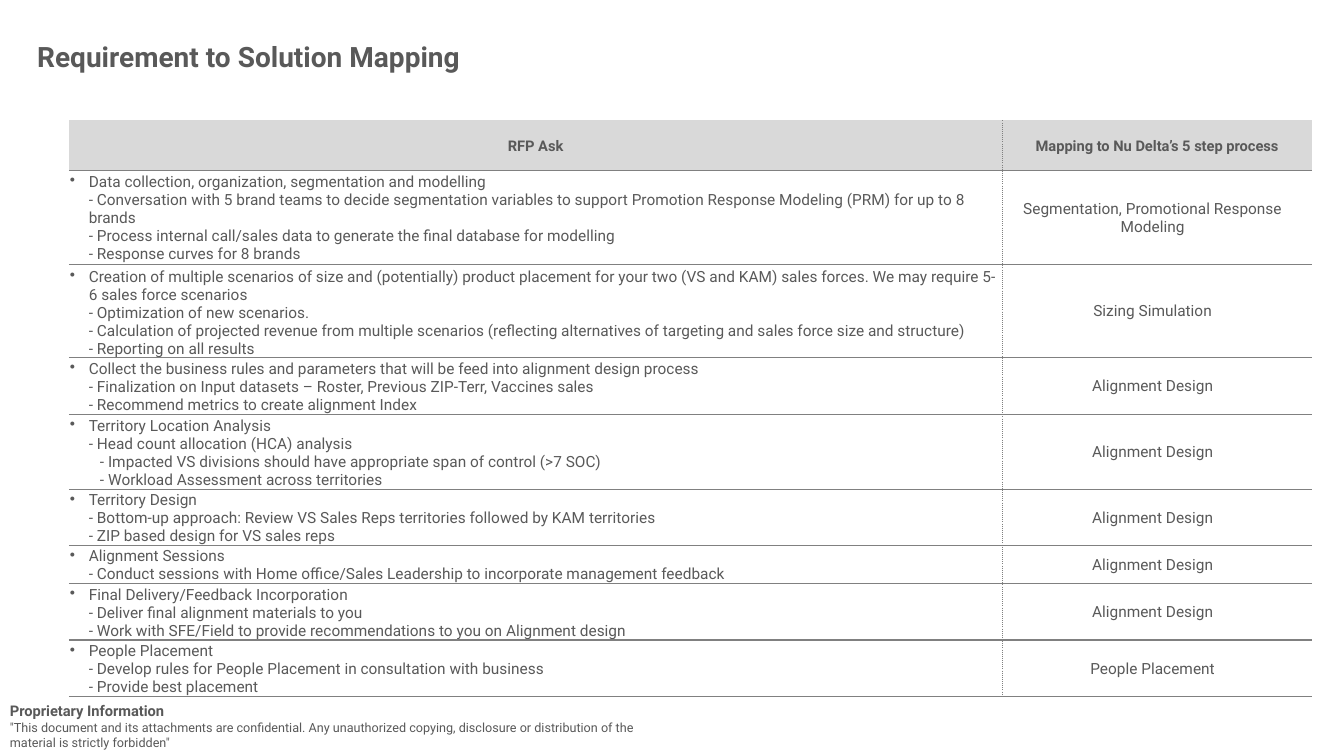
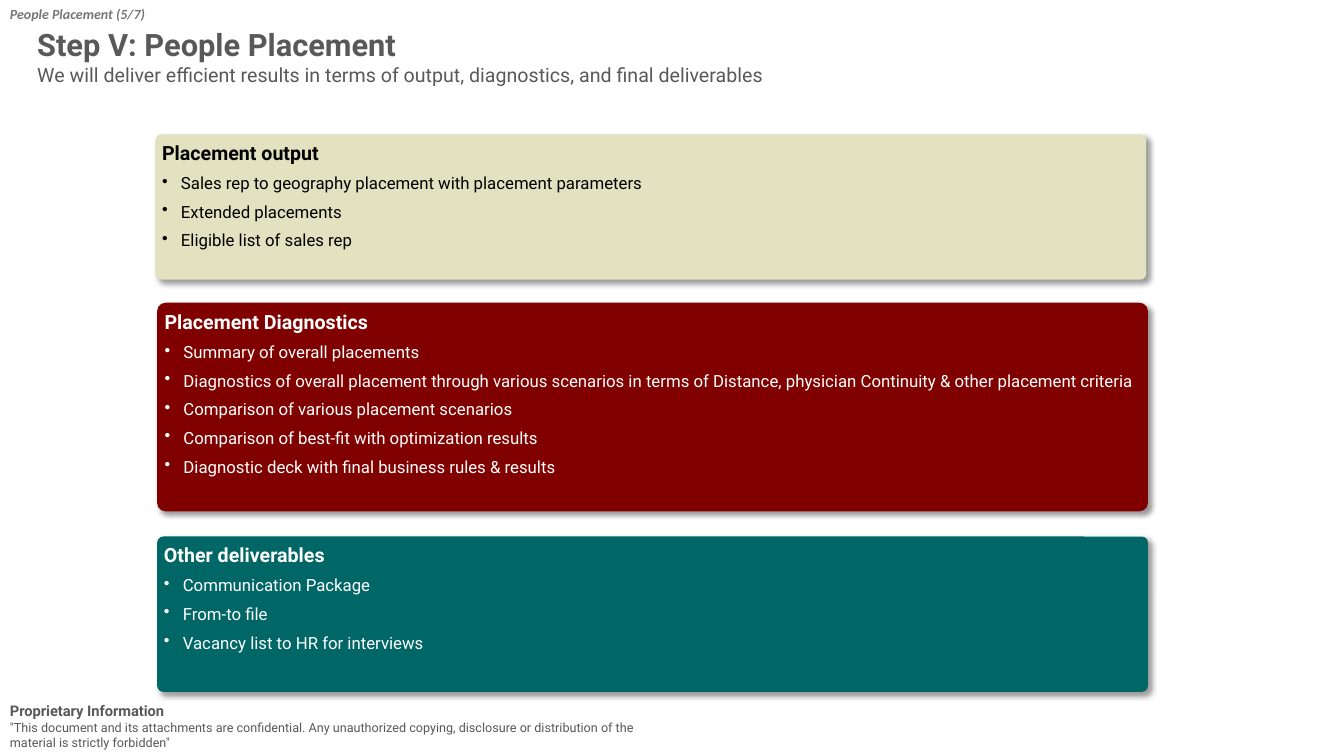
"""Build a two-slide deck: requirement mapping table and people placement deliverables."""
from lxml import etree
from pptx import Presentation
from pptx.dml.color import RGBColor
from pptx.enum import shapes, text
from pptx.oxml import ns
from pptx.util import Pt

C = {"grey": "595959", "crumb": "777777", "rule": "808080", "head": "D9D9D9",
     "white": "FFFFFF", "black": "000000", "sand": "E2E1C0", "maroon": "800000", "teal": "006666"}
INDENT = 13.5
LINE = 13.35
TOP, MIDDLE, BOTTOM = (text.MSO_ANCHOR.TOP, text.MSO_ANCHOR.MIDDLE, text.MSO_ANCHOR.BOTTOM)
LEFT, CENTER = text.PP_ALIGN.LEFT, text.PP_ALIGN.CENTER


def write(tf, paras, color="grey", align=LEFT, space=0):
    """Write (text, font values, left margin, bulleted) paragraphs into a text frame."""
    tf.word_wrap = True
    for i, (words, fmt, margin, bulleted) in enumerate(paras):
        p = tf.paragraphs[0] if i == 0 else tf.add_paragraph()
        p.alignment = align
        p.space_before = Pt(space if i else 0)
        pPr = p._p.get_or_add_pPr()
        pPr.set("marL", str(Pt(margin)))
        pPr.set("indent", str(Pt(-margin if bulleted else 0)))
        if bulleted:
            etree.SubElement(pPr, ns.qn("a:buChar"), char="•")
        r = p.add_run()
        r.text = words
        for name, value in {"name": "Roboto", "bold": False, **fmt}.items():
            setattr(r.font, name, value)
        r.font.color.rgb = RGBColor.from_string(C[color])


def add_text(s, box, paras, color="grey", anchor=TOP):
    """Add a text box at box (left, top, width, height in points)."""
    tf = s.shapes.add_textbox(*map(Pt, box)).text_frame
    tf.vertical_anchor = anchor
    write(tf, paras, color)


prs = Presentation()
prs.slide_width, prs.slide_height = Pt(960), Pt(540)
mapping, placement = [prs.slides.add_slide(prs.slide_layouts[6]) for _ in range(2)]

titles = [
    (mapping, (19.5, 24.5, 876, 32),
     [("Requirement to Solution Mapping", {"size": Pt(20), "bold": True}, 0, False)]),
    (placement, (19.5, 14.5, 876, 51),
     [("Step V: People Placement", {"size": Pt(22), "bold": True}, 0, False),
      ("We will deliver efficient results in terms of output, diagnostics, and final deliverables",
       {"size": Pt(14)}, 0, False)]),
]
footer = [
    ("Proprietary Information", {"size": Pt(10.5), "bold": True}, 0, False),
    ('"This document and its attachments are confidential. Any unauthorized copying, disclosure '
     'or distribution of the material is strictly forbidden"', {"size": Pt(9)}, 0, False),
]
for s, box, paras in titles:
    add_text(s, (0, 498, 480, 42), footer)
    add_text(s, box, paras, anchor=MIDDLE)

asks = [
    (5, "Segmentation, Promotional Response Modeling", [
        "Data collection, organization, segmentation and modelling",
        "- Conversation with 5 brand teams to decide segmentation variables to support "
        "Promotion Response Modeling (PRM) for up to 8 brands",
        "- Process internal call/sales data to generate the final database for modelling",
        "- Response curves for 8 brands"]),
    (5, "Sizing Simulation", [
        "Creation of multiple scenarios of size and (potentially) product placement for your two "
        "(VS and KAM) sales forces. We may require 5-6 sales force scenarios",
        "- Optimization of new scenarios.",
        "- Calculation of projected revenue from multiple scenarios (reflecting alternatives of "
        "targeting and sales force size and structure)",
        "- Reporting on all results"]),
    (3, "Alignment Design", [
        "Collect the business rules and parameters that will be feed into alignment design process",
        "- Finalization on Input datasets – Roster, Previous ZIP-Terr, Vaccines sales",
        "- Recommend metrics to create alignment Index"]),
    (4, "Alignment Design", [
        "Territory Location Analysis",
        "- Head count allocation (HCA) analysis",
        ("- Impacted VS divisions should have appropriate span of control (>7 SOC)",),
        ("- Workload Assessment across territories",)]),
    (3, "Alignment Design", [
        "Territory Design",
        "- Bottom-up approach: Review VS Sales Reps territories followed by KAM territories",
        "- ZIP based design for VS sales reps"]),
    (2, "Alignment Design", [
        "Alignment Sessions",
        "- Conduct sessions with Home office/Sales Leadership to incorporate management feedback"]),
    (3, "Alignment Design", [
        "Final Delivery/Feedback Incorporation",
        "- Deliver final alignment materials to you",
        "- Work with SFE/Field to provide recommendations to you on Alignment design"]),
    (3, "People Placement", [
        "People Placement",
        "- Develop rules for People Placement in consultation with business",
        "- Provide best placement"]),
]
heading = {"size": Pt(10.5), "bold": True}
body = {"size": Pt(11)}
rows = [(36, [("RFP Ask", heading, 0, False)],
         [("Mapping to Nu Delta’s 5 step process", heading, 0, False)])]
for count, step, lines in asks:
    ask = []
    for i, line in enumerate(lines):
        nested = isinstance(line, tuple)
        ask.append((line[0] if nested else line, body, INDENT + 8 * nested, i == 0))
    rows.append((count * LINE, ask, [(step, body, 0, False)]))

height = sum(row[0] for row in rows)
tbl = mapping.shapes.add_table(len(rows), 2, Pt(49.25), Pt(86), Pt(888), Pt(height)).table
tbl.first_row = tbl.horz_banding = False
for col, width in zip(tbl.columns, (666.75, 221.25)):
    col.width = Pt(width)

for y, (row_height, *cells) in enumerate(rows):
    tbl.rows[y].height = Pt(row_height)
    for x, paras in enumerate(cells):
        cell = tbl.cell(y, x)
        values = {
            "margin_left": Pt(0.7), "margin_top": Pt(0.7), "margin_bottom": Pt(0),
            "margin_right": Pt(7.2 if x and y else 0.7),
            "vertical_anchor": BOTTOM if y > 1 and x == 0 else MIDDLE,
        }
        for name, value in values.items():
            setattr(cell, name, value)
        borders = {"lnL": "sysDot" if x else None, "lnR": None if x else "sysDot",
                   "lnT": "solid" if y else None, "lnB": "solid"}
        tcPr = cell._tc.get_or_add_tcPr()
        for side, dash in borders.items():
            ln = etree.SubElement(tcPr, ns.qn("a:" + side), w=str(Pt(1)))
            if dash:
                fill = etree.SubElement(ln, ns.qn("a:solidFill"))
                etree.SubElement(fill, ns.qn("a:srgbClr"), val=C["rule"])
                etree.SubElement(ln, ns.qn("a:prstDash"), val=dash)
            else:
                etree.SubElement(ln, ns.qn("a:noFill"))
        cell.fill.solid()
        cell.fill.fore_color.rgb = RGBColor.from_string(C["white" if y else "head"])
        write(cell.text_frame, paras, align=LEFT if x == 0 and y else CENTER)

cards = [
    (111, 96, 103.75, "sand", "black", "Placement output", [
        "Sales rep to geography placement with placement parameters",
        "Extended placements",
        "Eligible list of sales rep"]),
    (112.25, 216.25, 149, "maroon", "white", "Placement Diagnostics", [
        "Summary of overall placements",
        "Diagnostics of overall placement through various scenarios in terms of Distance, "
        "physician Continuity & other placement criteria",
        "Comparison of various placement scenarios",
        "Comparison of best-fit with optimization results",
        "Diagnostic deck with final business rules & results"]),
    (112.25, 383.25, 111, "teal", "white", "Other deliverables", [
        "Communication Package",
        "From-to file",
        "Vacancy list to HR for interviews"]),
]
for left, top, card_height, fill, color, title, items in cards:
    sp = placement.shapes.add_shape(shapes.MSO_SHAPE.ROUNDED_RECTANGLE,
                                    Pt(left), Pt(top), Pt(707.75), Pt(card_height))
    sp.adjustments[0] = 0.04
    sp.fill.solid()
    sp.fill.fore_color.rgb = RGBColor.from_string(C[fill])
    sp.line.fill.background()
    sp.shadow.inherit = False
    effects = sp._element.spPr.find(ns.qn("a:effectLst"))
    shadow = etree.SubElement(effects, ns.qn("a:outerShdw"), blurRad=str(Pt(4)), dist=str(Pt(3)),
                              dir=str(45 * 60000), algn="tl", rotWithShape="0")
    shade = etree.SubElement(shadow, ns.qn("a:srgbClr"), val=C["black"])
    etree.SubElement(shade, ns.qn("a:alpha"), val="40000")
    tf = sp.text_frame
    tf.vertical_anchor = TOP
    for side in ("left", "top", "right", "bottom"):
        setattr(tf, "margin_" + side, Pt(3.6))
    paras = [(title, {"size": Pt(14), "bold": True}, 0, False)]
    paras += [(item, {"size": Pt(12)}, INDENT, True) for item in items]
    write(tf, paras, color, space=6)

add_text(placement, (0, 0.75, 113, 19.5),
         [("People Placement (5/7)",
           {"name": "Calibri", "size": Pt(10), "bold": True, "italic": True}, 0, False)], "crumb")

prs.save("out.pptx")
